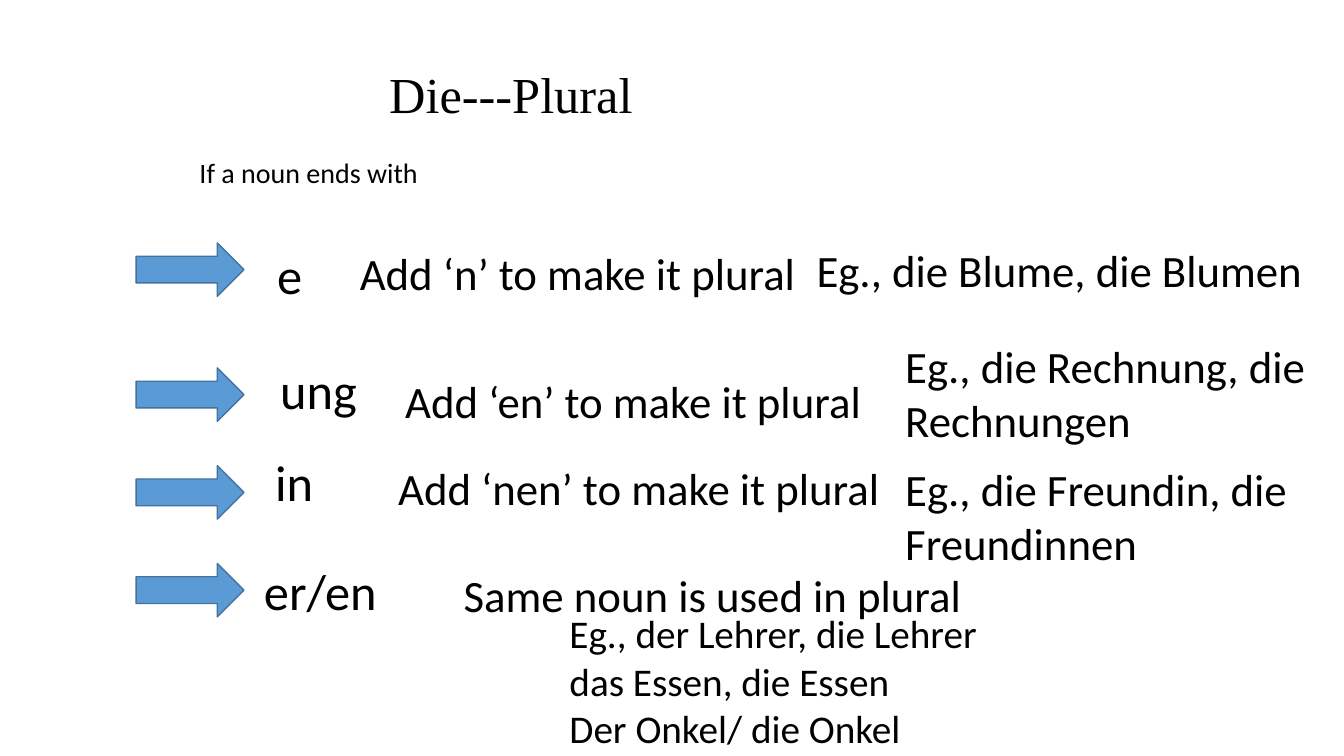
from dataclasses import dataclass

from pptx import Presentation
from pptx.dml.color import RGBColor
from pptx.enum.shapes import MSO_SHAPE
from pptx.enum.text import MSO_ANCHOR, MSO_AUTO_SIZE, PP_ALIGN
from pptx.util import Inches, Pt


@dataclass(frozen=True)
class Theme:
    """Colours, fonts and type sizes of the slide."""
    ink: RGBColor = RGBColor(0, 0, 0)
    arrow_fill: RGBColor = RGBColor(0x5B, 0x9B, 0xD5)
    arrow_line: RGBColor = RGBColor(0x43, 0x73, 0x9E)
    heading_font: str = "Times New Roman"
    text_font: str = "Calibri"
    heading: int = 36
    ending: int = 36
    rule: int = 32
    example: int = 28
    intro: int = 20


THEME = Theme()
ARROW_LEFT = 1.35
ARROW_SIZE = (1.07, 0.53)

RULES = [
    (2.41, ("e", 1.3, -0.04, 0.45, 0.71),
     ("Add ‘n’ to make it plural", 2.12, -0.02, 4.92, 0.64),
     (["Eg., die Blume, die Blumen"], 6.65, -0.05, 5.18, 0.64, THEME.rule)),
    (3.65, ("ung", 1.33, -0.14, 0.97, 0.71),
     ("Add ‘en’ to make it plural", 2.57, 0.01, 5.09, 0.64),
     (["Eg., die Rechnung, die Rechnungen"], 7.53, -0.34, 5.09, 1.18, THEME.rule)),
    (4.62, ("in", 1.28, -0.19, 0.58, 0.71),
     ("Add ‘nen’ to make it plural", 2.5, -0.1, 5.51, 0.64),
     (["Eg., die Freundin, die Freundinnen"], 7.53, -0.09, 5.18, 1.18, THEME.rule)),
    (5.59, ("er/en", 1.17, -0.08, 1.33, 0.71),
     ("Same noun is used in plural", 3.15, -0.01, 5.51, 0.64),
     (["Eg., der Lehrer, die Lehrer", "das Essen, die Essen", "Der Onkel/ die Onkel"],
      4.2, 0.41, 6.44, 1.51, THEME.example)),
]


def apply(target, values):
    """Set each attribute of the target from a dict of values."""
    for name, value in values.items():
        setattr(target, name, value)


def fill_text(holder, lines, size, font=THEME.text_font, wrap=True):
    """Write left-aligned lines into a title or text box."""
    frame = holder.text_frame
    apply(frame, {"text": "\n".join(lines), "word_wrap": wrap,
                  "auto_size": MSO_AUTO_SIZE.SHAPE_TO_FIT_TEXT,
                  "vertical_anchor": MSO_ANCHOR.TOP})
    for paragraph in frame.paragraphs:
        paragraph.alignment = PP_ALIGN.LEFT
        apply(paragraph.font, {"name": font, "size": Pt(size)})
        paragraph.font.color.rgb = THEME.ink


def add_text(slide, box, lines, size, wrap=True):
    """Add a text box at left, top, width and height in inches."""
    text_box = slide.shapes.add_textbox(*map(Inches, box))
    fill_text(text_box, lines, size, wrap=wrap)


def add_heading(slide, left, top):
    """Place the title and the introductory line below it."""
    title = slide.shapes.title
    apply(title, {"left": Inches(left + 1.88), "top": Inches(top),
                  "width": Inches(4.33), "height": Inches(0.71)})
    fill_text(title, ["Die---Plural"], THEME.heading, THEME.heading_font)
    add_text(slide, (left, top + 0.91, 2.45, 0.44), ["If a noun ends with"],
             THEME.intro, wrap=False)


def add_arrow(slide, left, top):
    """Add the block arrow that opens a rule."""
    arrow = slide.shapes.add_shape(MSO_SHAPE.RIGHT_ARROW,
                                   *map(Inches, (left, top, *ARROW_SIZE)))
    arrow.shadow.inherit = False
    arrow.fill.solid()
    arrow.fill.fore_color.rgb = THEME.arrow_fill
    arrow.line.color.rgb = THEME.arrow_line
    arrow.line.width = Pt(1)


def add_rule(slide, left, top, ending, instruction, examples):
    """Place an arrow, noun ending, instruction and examples from a corner."""
    add_arrow(slide, left, top)
    word, dx, dy, width, height = ending
    add_text(slide, (left + dx, top + dy, width, height), [word], THEME.ending, wrap=False)
    advice, dx, dy, width, height = instruction
    add_text(slide, (left + dx, top + dy, width, height), [advice], THEME.rule)
    lines, dx, dy, width, height, size = examples
    add_text(slide, (left + dx, top + dy, width, height), lines, size)


def main():
    """Build the plural rules slide and save it."""
    deck = Presentation()
    apply(deck, {"slide_width": Inches(13.33), "slide_height": Inches(7.5)})
    slide = deck.slides.add_slide(deck.slide_layouts[5])
    add_heading(slide, 1.88, 0.58)
    for top, ending, instruction, examples in RULES:
        add_rule(slide, ARROW_LEFT, top, ending, instruction, examples)
    deck.save("out.pptx")


if __name__ == "__main__":
    main()
